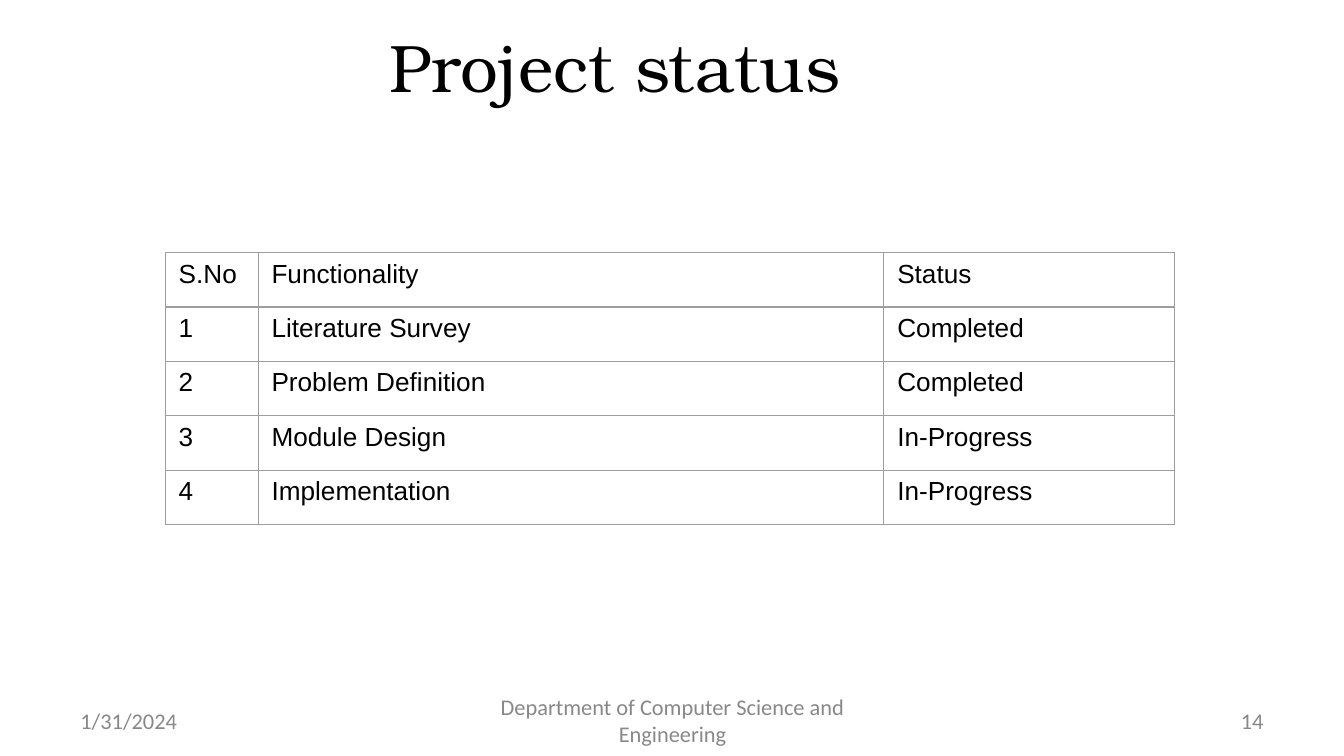
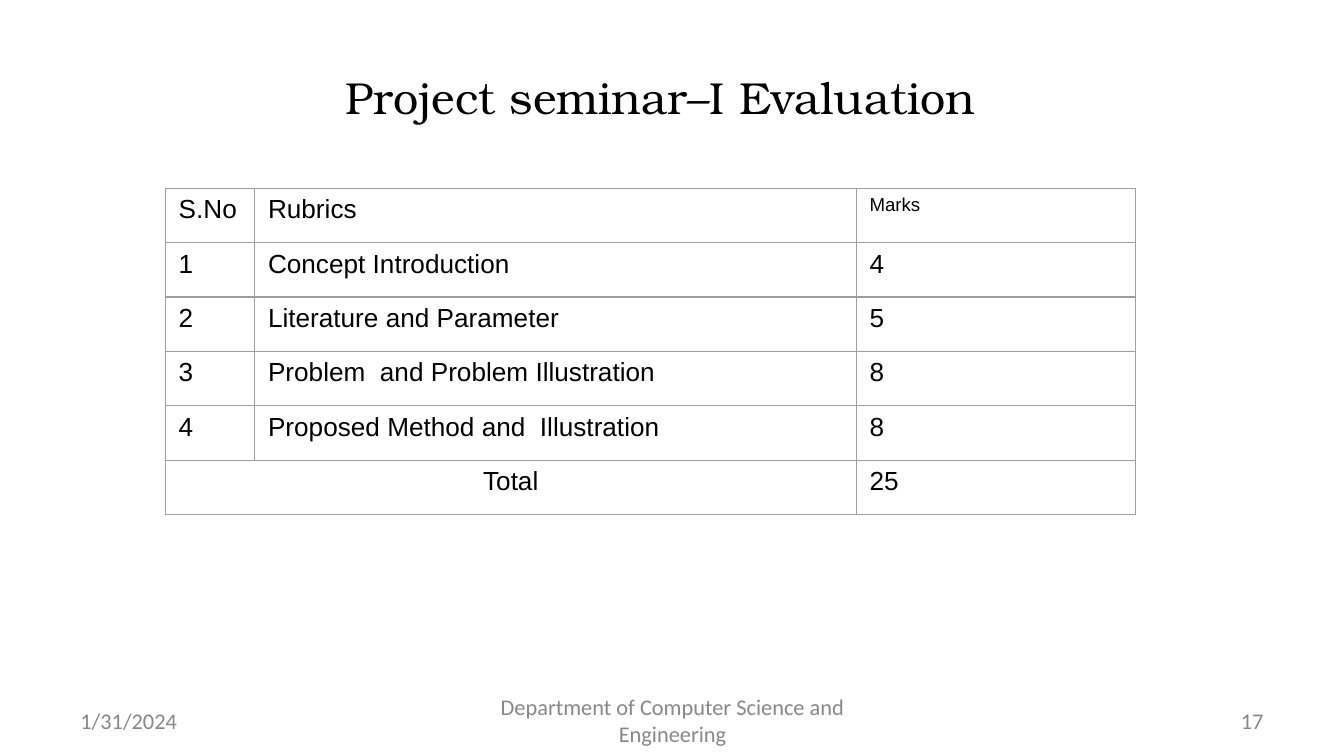
import pptx
import pptx.util
import pptx.dml.color
import pptx.enum.text
import pptx.oxml
import pptx.oxml.ns

In, Pt = pptx.util.Inches, pptx.util.Pt
ALIGN, ANCHOR = pptx.enum.text.PP_ALIGN, pptx.enum.text.MSO_ANCHOR

# Shared style
COLORS = {"text": "000000", "footer": "888888", "border": "9E9E9E"}
TITLE_FONT, TABLE_FONT, FOOTER_FONT = "TeX Gyre Bonum", "Arial", "Calibri"
TITLE_W, TITLE_H = 6.69, 0.69
TABLE_LEFT, ROW_H = 1.23, 0.405
COL_SHARES = (0.092, 0.62, 0.288)
FOOTER_TOP, FOOTER_H = 5.21, 0.3

# Slide contents
SLIDES = [
    {"title": "Project status", "size": 36, "title_at": (1.23, 0.14),
     "number": "14", "table_top": 1.88, "table_width": 7.51,
     "rows": [("S.No", "Functionality", "Status"),
              ("1", "Literature Survey", "Completed"),
              ("2", "Problem Definition", "Completed"),
              ("3", "Module Design", "In-Progress"),
              ("4", "Implementation", "In-Progress")]},
    {"title": "Project seminar–I Evaluation", "size": 24, "title_at": (1.57, 0.37),
     "number": "17", "table_top": 1.4, "table_width": 7.22,
     "rows": [("S.No", "Rubrics", "Marks"),
              ("1", "Concept Introduction", "4"),
              ("2", "Literature and Parameter", "5"),
              ("3", "Problem  and Problem Illustration", "8"),
              ("4", "Proposed Method and  Illustration", "8"),
              ("Total", "", "25")]},
]


def write(tf, text, font, size, color, align=ALIGN.LEFT):
    tf.text = text
    p = tf.paragraphs[0]
    p.alignment = align
    for r in p.runs:
        r.font.name, r.font.size = font, Pt(size)
        r.font.color.rgb = pptx.dml.color.RGBColor.from_string(COLORS[color])


def add_text(s, box, *style):
    tf = s.shapes.add_textbox(*map(In, box)).text_frame
    tf.word_wrap = True
    tf.vertical_anchor = ANCHOR.MIDDLE
    write(tf, *style)


prs = pptx.Presentation()
prs.slide_width, prs.slide_height = In(10), In(5.625)

for data in SLIDES:
    s = prs.slides.add_slide(prs.slide_layouts[6])

    # Title
    add_text(s, (*data["title_at"], TITLE_W, TITLE_H),
             data["title"], TITLE_FONT, data["size"], "text", ALIGN.CENTER)

    # Table
    rows, width = data["rows"], data["table_width"]
    tbl = s.shapes.add_table(len(rows), len(COL_SHARES), In(TABLE_LEFT), In(data["table_top"]),
                             In(width), In(ROW_H * len(rows))).table
    tbl.first_row = tbl.horz_banding = False
    for col, share in zip(tbl.columns, COL_SHARES):
        col.width = In(width * share)
    for i, row in enumerate(rows):
        tbl.rows[i].height = In(ROW_H)
        for j, text in enumerate(row):
            cell = tbl.cell(i, j)
            total = text == "Total"
            write(cell.text_frame, text, TABLE_FONT, 10 if text == "Marks" else 14,
                  "text", ALIGN.CENTER if total else ALIGN.LEFT)
            cell.fill.background()
            tcPr = cell._tc.get_or_add_tcPr()
            for k, side in enumerate("LRTB"):
                tcPr.insert(k, pptx.oxml.parse_xml(
                    f'<a:ln{side} {pptx.oxml.ns.nsdecls("a")} w="{Pt(0.75)}"><a:solidFill>'
                    f'<a:srgbClr val="{COLORS["border"]}"/></a:solidFill></a:ln{side}>'))
            if total:
                cell.merge(tbl.cell(i, j + 1))

    # Footer
    for left, w, text, align in [
            (0.5, 2.33, "1/31/2024", ALIGN.LEFT),
            (3.42, 3.17, "Department of Computer Science and Engineering", ALIGN.CENTER),
            (7.17, 2.33, data["number"], ALIGN.RIGHT)]:
        add_text(s, (left, FOOTER_TOP, w, FOOTER_H), text, FOOTER_FONT, 12, "footer", align)

prs.save("out.pptx")
